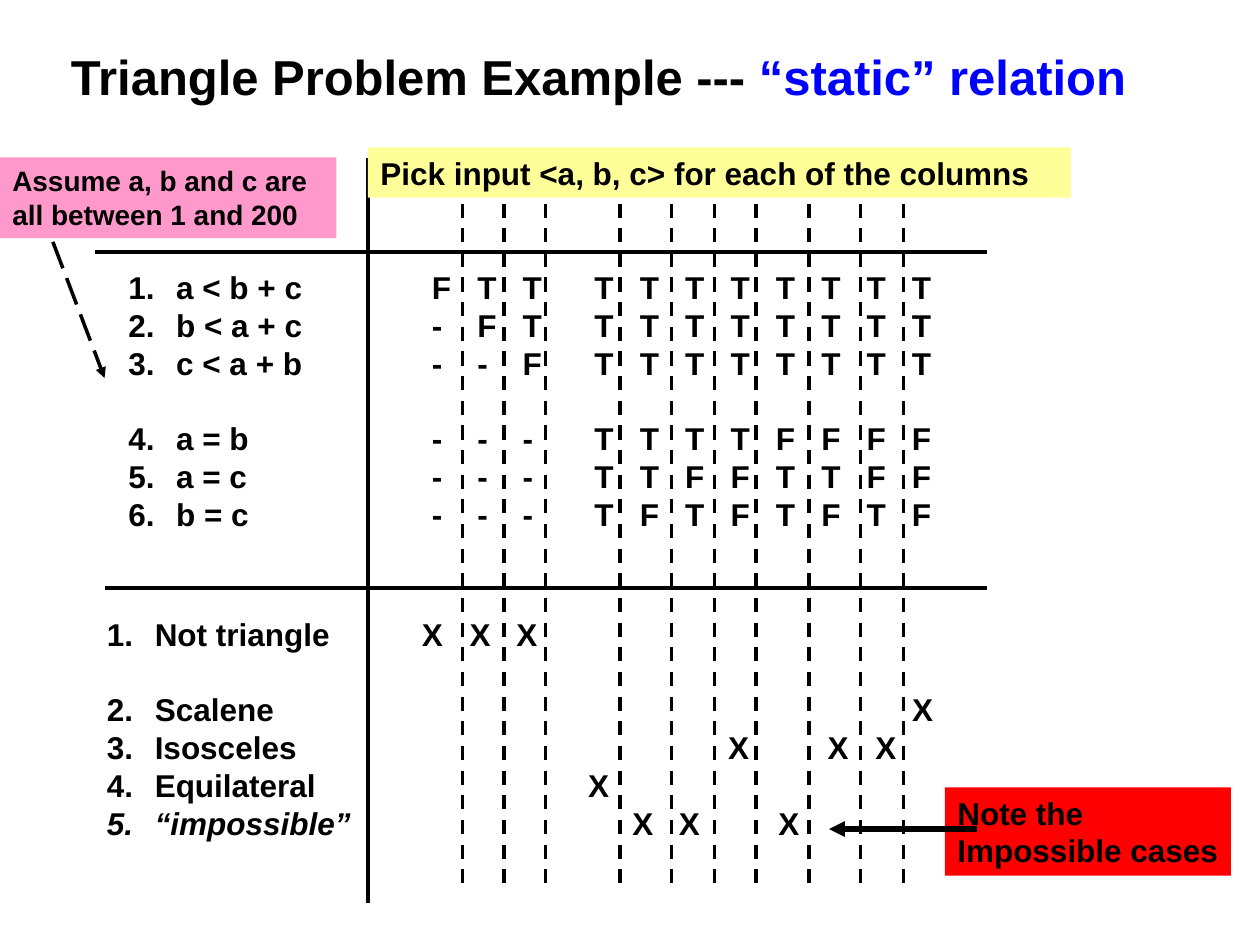
from dataclasses import dataclass

import pptx
import pptx.dml.color
import pptx.enum.dml
import pptx.enum.shapes
import pptx.enum.text
import pptx.oxml.ns
import pptx.oxml.xmlchemy
import pptx.util
from lxml import etree

Inches = pptx.util.Inches
Pt = pptx.util.Pt
qn = pptx.oxml.ns.qn
Dash = pptx.enum.dml.MSO_LINE

BLACK, BLUE = "000000", "0000FF"
LINE_GAP = 21.6  # height of one skipped 18 pt line
NUMBER_INDENT = 0.38


@dataclass
class Box:
    left: float
    top: float
    width: float
    height: float


@dataclass
class Line:
    start: tuple[float, float]
    end: tuple[float, float]
    width: float = 2.25
    dash: object = None
    arrow: bool = False


@dataclass
class Note:
    box: Box
    fill: str
    lines: list[str]
    size: int = 18
    wrap: bool = True


@dataclass
class Block:
    """Lines of the decision table; a gap precedes line number gap_at."""
    box: Box
    lines: list[str]
    gap_at: int
    tabs: tuple[float, ...] = ()
    numbered: bool = False
    italic_line: int = -1


def color(value: str) -> pptx.dml.color.RGBColor:
    return pptx.dml.color.RGBColor.from_string(value)


def add_run(paragraph, text: str, *, size: float = 18, fill: str = BLACK,
            italic: bool | None = None) -> None:
    run = paragraph.add_run()
    run.text = text
    run.font.name = "Arial"
    run.font.size = Pt(size)
    run.font.bold = True
    run.font.italic = italic
    run.font.color.rgb = color(fill)


def write_lines(frame, lines: list[str], **text_format) -> list:
    """Write one left-aligned paragraph per line and return the paragraphs."""
    paragraphs = []
    for index, line in enumerate(lines):
        paragraph = frame.add_paragraph() if index else frame.paragraphs[0]
        paragraph.alignment = pptx.enum.text.PP_ALIGN.LEFT
        add_run(paragraph, line, **text_format)
        paragraphs.append(paragraph)
    return paragraphs


def place(box: Box) -> list[int]:
    return [Inches(value) for value in (box.left, box.top, box.width, box.height)]


def add_line(slide, line: Line) -> None:
    connector = slide.shapes.add_connector(
        pptx.enum.shapes.MSO_CONNECTOR.STRAIGHT,
        *(Inches(value) for value in line.start + line.end))
    connector.line.color.rgb = color(BLACK)
    connector.line.width = Pt(line.width)
    if line.dash is not None:
        connector.line.dash_style = line.dash
    properties = connector._element.spPr
    if line.arrow:
        etree.SubElement(properties.find(qn("a:ln")), qn("a:tailEnd"), type="triangle")
    etree.SubElement(properties, qn("a:effectLst"))


def add_note(slide, note: Note) -> None:
    shape = slide.shapes.add_shape(
        pptx.enum.shapes.MSO_SHAPE.RECTANGLE, *place(note.box))
    shape.shadow.inherit = False
    shape.fill.solid()
    shape.fill.fore_color.rgb = color(note.fill)
    shape.line.fill.background()
    shape.text_frame.word_wrap = note.wrap
    shape.text_frame.vertical_anchor = pptx.enum.text.MSO_ANCHOR.TOP
    write_lines(shape.text_frame, note.lines, size=note.size)


def add_block(slide, block: Block) -> None:
    frame = slide.shapes.add_textbox(*place(block.box)).text_frame
    frame.word_wrap = True
    paragraphs = write_lines(frame, block.lines)
    paragraphs[block.gap_at].space_before = Pt(LINE_GAP)
    if block.italic_line >= 0:
        paragraphs[block.italic_line].runs[0].font.italic = True
    for paragraph in paragraphs:
        properties = paragraph._p.get_or_add_pPr()
        if block.numbered:
            properties.set("marL", str(Inches(NUMBER_INDENT)))
            properties.set("indent", str(-Inches(NUMBER_INDENT)))
            etree.SubElement(properties, qn("a:buFont"), typeface="+mj-lt")
            etree.SubElement(properties, qn("a:buAutoNum"), type="arabicPeriod")
        if block.tabs:
            tab_list = etree.SubElement(properties, qn("a:tabLst"))
            for stop in block.tabs:
                etree.SubElement(tab_list, qn("a:tab"), pos=str(Inches(stop)), algn="l")


def add_title(slide) -> None:
    title = slide.shapes.title
    title.left, title.top, title.width, title.height = place(Box(0.25, 0.25, 9, 0.7))
    title.text_frame.vertical_anchor = pptx.enum.text.MSO_ANCHOR.MIDDLE
    paragraph = title.text_frame.paragraphs[0]
    paragraph.alignment = pptx.enum.text.PP_ALIGN.CENTER
    add_run(paragraph, "Triangle Problem Example --- ", size=28)
    add_run(paragraph, "“static” relation", size=28, fill=BLUE)


def mark_row(columns: list[int]) -> str:
    """Put an X in each given column, reached by tabs."""
    last = max(columns)
    return "\t".join("X" if column in columns else "" for column in range(last + 1))


CONDITION_VALUES = ["FTTTTTTTTTT", "-FTTTTTTTTT", "--FTTTTTTTT",
                    "---TTTTFFFF", "---TTFFTTFF", "---TFTFTFTF"]
ACTION_COLUMNS = [[0, 1, 2], [10], [6, 8, 9], [3], [4, 5, 7]]
CONDITION_TABS = (0.36, 0.72, *(round(1.29 + 0.36 * step, 2) for step in range(8)))
ACTION_TABS = (0.38, 0.75, 1.32, 1.67, 2.04, 2.43, 2.83, 3.22, 3.6, 3.89)

BLOCKS = [
    Block(Box(0.92, 2.08, 1.67, 2.2),
          ["a < b + c", "b < a + c", "c < a + b", "a = b", "a = c", "b = c"],
          gap_at=3, numbered=True),
    Block(Box(0.75, 4.83, 2.25, 1.9),
          ["Not triangle", "Scalene", "Isosceles", "Equilateral", "“impossible”"],
          gap_at=1, numbered=True, italic_line=4),
    Block(Box(3.33, 2.08, 5.17, 2.2),
          ["\t".join(values) for values in CONDITION_VALUES],
          gap_at=3, tabs=CONDITION_TABS),
    Block(Box(3.25, 4.83, 4.67, 1.9),
          [mark_row(columns) for columns in ACTION_COLUMNS],
          gap_at=1, tabs=ACTION_TABS),
]
TABLE_RULES = [Line((0.75, 2), (7.83, 2)), Line((0.83, 4.67), (7.83, 4.67)),
               Line((2.92, 1.25), (2.92, 7.17))]
COLUMN_RULES = [Line((x, 1.42), (x, 7.08), 2, Dash.DASH)
                for x in (3.67, 4, 4.33, 4.92, 5.33, 5.67, 6, 6.42, 6.83, 7.17)]
IMPOSSIBLE_NOTE = Note(Box(7.5, 6.25, 2.27, 0.7), "FF0000",
                       ["Note the", "Impossible cases"], wrap=False)
IMPOSSIBLE_ARROW = Line((7.75, 6.58), (6.58, 6.58), 3, arrow=True)
INPUT_NOTE = Note(Box(2.92, 1.17, 5.58, 0.4), "FFFF99",
                  ["Pick input <a, b, c> for each of the columns"])
RANGE_NOTE = Note(Box(0, 1.25, 2.67, 0.64), "FF99CC",
                  ["Assume a, b and c are", "all between 1 and 200"], size=16)
RANGE_ARROW = Line((0.42, 1.92), (0.83, 3), 2, Dash.LONG_DASH, arrow=True)


def main() -> None:
    presentation = pptx.Presentation()
    presentation.slide_width, presentation.slide_height = Inches(10), Inches(7.5)
    slide = presentation.slides.add_slide(presentation.slide_layouts[5])
    add_title(slide)
    for line in TABLE_RULES:
        add_line(slide, line)
    for block in BLOCKS:
        add_block(slide, block)
    for line in COLUMN_RULES:
        add_line(slide, line)
    add_note(slide, IMPOSSIBLE_NOTE)
    add_line(slide, IMPOSSIBLE_ARROW)
    add_note(slide, INPUT_NOTE)
    add_note(slide, RANGE_NOTE)
    add_line(slide, RANGE_ARROW)
    presentation.save("out.pptx")


if __name__ == "__main__":
    main()
